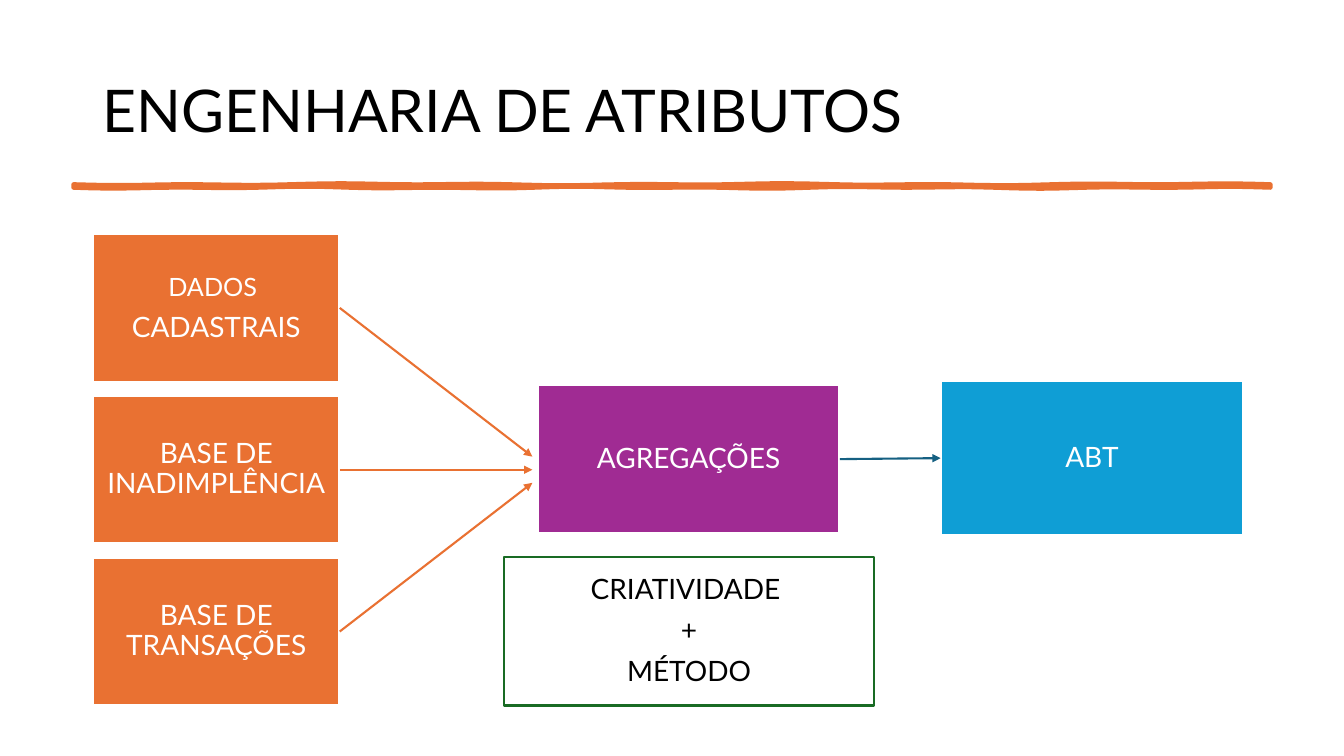
"""Builds the ENGENHARIA DE ATRIBUTOS slide: data sources, aggregations and ABT."""
from math import sin, tau
from lxml import etree
from pptx import Presentation
from pptx.dml.color import RGBColor
from pptx.enum.shapes import MSO_CONNECTOR, MSO_SHAPE
from pptx.enum.text import MSO_ANCHOR, PP_ALIGN
from pptx.oxml.ns import qn
from pptx.util import Inches, Pt

ORANGE = RGBColor(0xE9, 0x71, 0x32)
PURPLE = RGBColor(0xA0, 0x2B, 0x93)
BLUE = RGBColor(0x0F, 0x9E, 0xD5)
DARK_BLUE = RGBColor(0x15, 0x60, 0x82)
GREEN = RGBColor(0x19, 0x6B, 0x24)
WHITE = RGBColor(0xFF, 0xFF, 0xFF)
BLACK = RGBColor(0x00, 0x00, 0x00)

TITLE = [[("ENGENHARIA DE ATRIBUTOS", 42)]]
SOURCES = [
    [[("DADOS", 18), (" ", 20)], [("CADASTRAIS", 20)]],
    [[("BASE DE INADIMPLÊNCIA", 20)]],
    [[("BASE DE TRANSAÇÕES", 20)]],
]
AGGREGATION = [[("AGREGAÇÕES", 20)]]
RESULT = [[("ABT", 20)]]
INGREDIENTS = [[("CRIATIVIDADE ", 20)], [("+", 20)], [("MÉTODO", 20)]]

FIRST_SOURCE_TOP, LAST_SOURCE_TOP = 2.32, 5.53
SOURCE_PITCH = (LAST_SOURCE_TOP - FIRST_SOURCE_TOP) / (len(SOURCES) - 1)
SOURCE_LEFT, SOURCE_WIDTH = 0.92, 2.45
STAGE_WIDTH, BOX_HEIGHT = 3, 1.47
TIP_X, TIP_GAP = 5.28, 0.13

BRUSH_LEFT, BRUSH_WIDTH, BRUSH_STEPS = 0.73, 11.87, 120
BRUSH_TOP = {"level": 1.83, "swing": 0.01, "waves": (3, 8)}
BRUSH_BOTTOM = {"level": 1.86, "swing": 0.01, "waves": (4, 9)}

BOX_INSETS = {
    "margin_left": Inches(0.12), "margin_right": Inches(0.12),
    "margin_top": Inches(0.13), "margin_bottom": Inches(0.13),
}


def set_all(target, values):
    for key, value in values.items():
        setattr(target, key, value)


def write(frame, paragraphs, color, align, gap):
    set_all(frame, {"word_wrap": True, "vertical_anchor": MSO_ANCHOR.MIDDLE})
    for index, runs in enumerate(paragraphs):
        paragraph = frame.add_paragraph() if index else frame.paragraphs[0]
        set_all(paragraph, {"alignment": align, "line_spacing": 0.9, "space_after": Pt(gap)})
        for text, size in runs:
            run = paragraph.add_run()
            run.text = text
            set_all(run.font, {"name": "Lato", "size": Pt(size)})
            run.font.color.rgb = color


def paint(shape, fill, line, width):
    shape.shadow.inherit = False
    shape.fill.solid()
    shape.fill.fore_color.rgb = fill
    shape.line.color.rgb = line
    shape.line.width = Pt(width)


def add_box(slide, place, paragraphs, fill, line=WHITE, width=2, ink=WHITE):
    box = slide.shapes.add_shape(MSO_SHAPE.RECTANGLE, *map(Inches, place))
    paint(box, fill, line, width)
    set_all(box.text_frame, BOX_INSETS)
    write(box.text_frame, paragraphs, ink, PP_ALIGN.CENTER, 7.5)
    return box


def middle(box):
    return box.top + box.height // 2


def add_arrow(slide, origin, tip, color):
    start = origin.left + origin.width, middle(origin)
    arrow = slide.shapes.add_connector(MSO_CONNECTOR.STRAIGHT, *start, *tip)
    arrow.begin_connect(origin, 3)
    arrow.line.color.rgb = color
    arrow.line.width = Pt(1.5)
    properties = arrow.element.spPr
    etree.SubElement(properties.find(qn("a:ln")), qn("a:tailEnd"), type="triangle")
    etree.SubElement(properties, qn("a:effectLst"))
    return arrow


def brush_edge(level, swing, waves):
    points = []
    for step in range(BRUSH_STEPS + 1):
        along = step / BRUSH_STEPS
        ripple = sum(sin(tau * count * along) for count in waves) / len(waves)
        points.append((Inches(BRUSH_LEFT + BRUSH_WIDTH * along), Inches(level + swing * ripple)))
    return points


def add_brush_stroke(slide):
    start, *rest = brush_edge(**BRUSH_TOP) + brush_edge(**BRUSH_BOTTOM)[::-1]
    outline = slide.shapes.build_freeform(*start)
    outline.add_line_segments(rest, close=True)
    paint(outline.convert_to_shape(), ORANGE, ORANGE, 3.25)


def main():
    deck = Presentation()
    deck.slide_width, deck.slide_height = Inches(13.33), Inches(7.5)
    slide = deck.slides.add_slide(deck.slide_layouts[6])

    heading = slide.shapes.add_textbox(*map(Inches, (0.92, 0.4, 11.5, 1.45)))
    write(heading.text_frame, TITLE, BLACK, PP_ALIGN.LEFT, 0)
    add_brush_stroke(slide)

    sources = []
    for row, paragraphs in enumerate(SOURCES):
        top = FIRST_SOURCE_TOP + row * SOURCE_PITCH
        place = SOURCE_LEFT, top, SOURCE_WIDTH, BOX_HEIGHT
        sources.append(add_box(slide, place, paragraphs, ORANGE))
    result = add_box(slide, (9.33, 3.78, STAGE_WIDTH, 1.53), RESULT, BLUE)
    aggregation = add_box(slide, (5.33, 3.82, STAGE_WIDTH, BOX_HEIGHT), AGGREGATION, PURPLE)
    add_box(slide, (5, LAST_SOURCE_TOP, 3.67, BOX_HEIGHT), INGREDIENTS,
            WHITE, GREEN, 1.5, BLACK)

    central_row = len(sources) // 2
    for row, source in enumerate(sources):
        tip_y = middle(sources[central_row]) + Inches(TIP_GAP) * (row - central_row)
        add_arrow(slide, source, (Inches(TIP_X), tip_y), ORANGE)
    result_side = result.left, middle(result)
    add_arrow(slide, aggregation, result_side, DARK_BLUE).end_connect(result, 1)

    deck.save("out.pptx")


if __name__ == "__main__":
    main()
